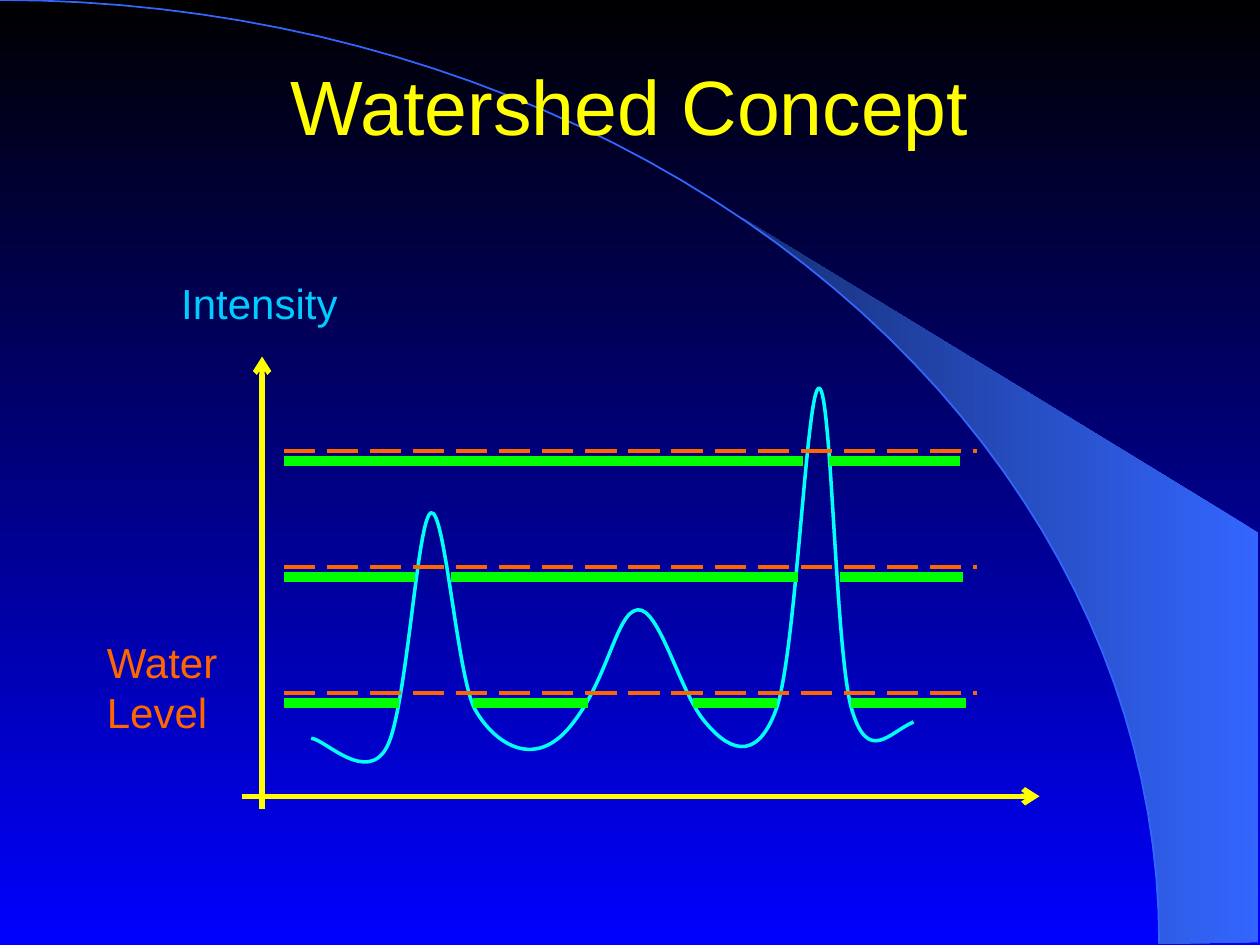
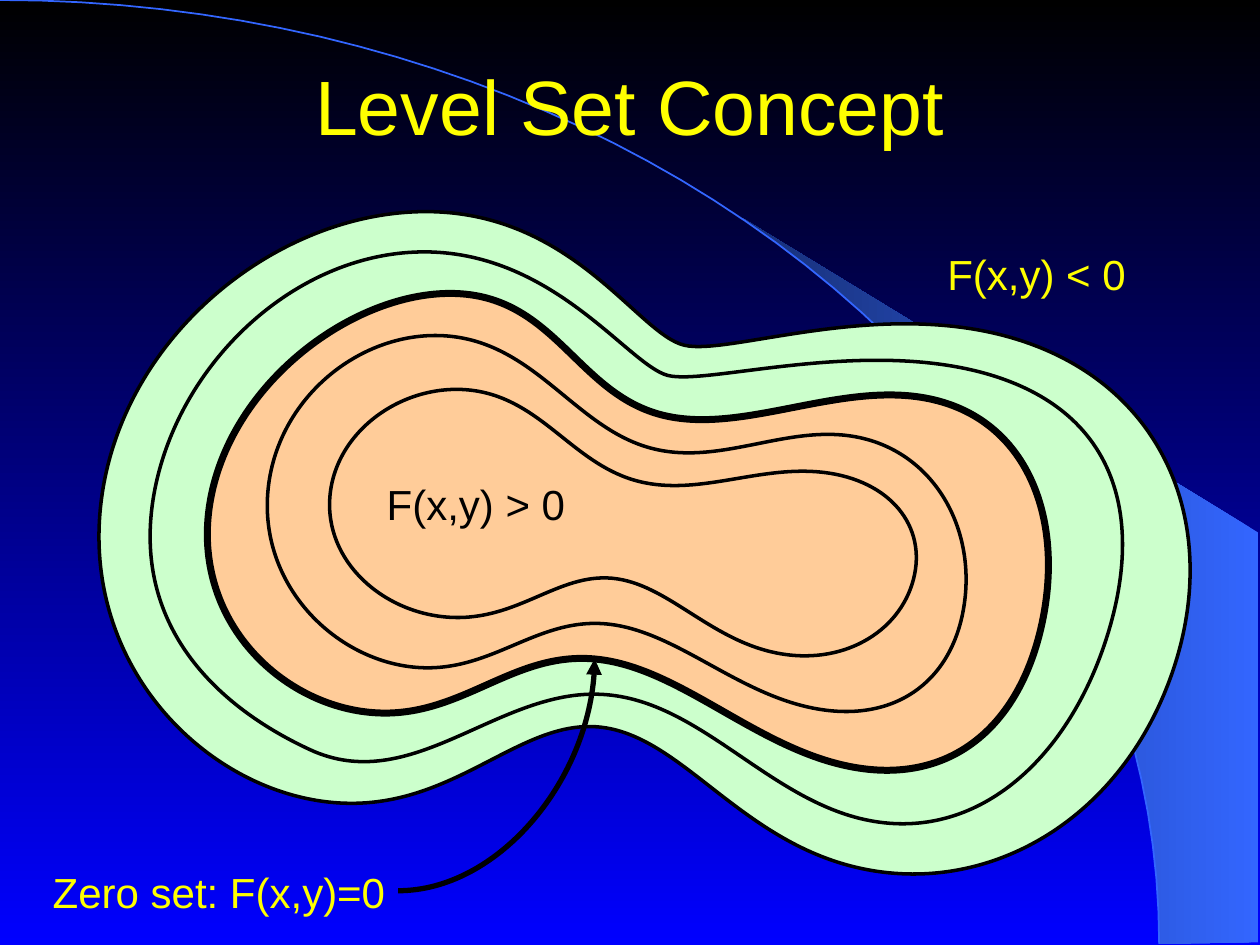
from math import cos, radians, sin

from lxml import etree
from pptx import Presentation
from pptx.dml.color import RGBColor
from pptx.enum.dml import MSO_LINE
from pptx.enum.shapes import MSO_CONNECTOR
from pptx.enum.text import MSO_ANCHOR, PP_ALIGN
from pptx.oxml.ns import qn
from pptx.util import Inches, Pt

YELLOW, GREEN, ORANGE = "FFFF00", "00FF00", "FF6600"
CYAN, SKY, BLACK = "00FFFF", "00CCFF", "000000"
MINT, PEACH, BLUE = "CCFFCC", "FFCC99", "3366FF"
FONT = "Arial"
ARC_WIDTH, ARC_HEIGHT = 9.2, 7.49

# Curve anchors: x, y and, where the bend is fixed, the handle dx, dy
INTENSITY_PROFILE = [
    (2.47, 5.86, 0.1, 0), (3.07, 5.93, 0.16, -0.3), (3.42, 4.07, 0.11, -0.05),
    (3.77, 5.63, 0.14, 0.25), (4.53, 5.76, 0.3, -0.37), (5.06, 4.84, 0.17, -0.02),
    (5.58, 5.71, 0.19, 0.24), (6.16, 5.63, 0.16, -0.44), (6.5, 3.08, 0.1, 0),
    (6.76, 5.63, 0.13, 0.44), (7.25, 5.73, 0.19, -0.08)]

# Height of each water level and the stretches that are flooded there
WATER_LEVELS = {
    5.5: [(2.25, 3.17), (3.75, 4.67), (5.5, 6.17), (6.75, 7.67)],
    4.5: [(2.25, 3.29), (3.58, 6.33), (6.67, 7.64)],
    3.58: [(2.25, 6.37), (6.58, 7.62)],
}

# Level sets from the outside in: fill, line width, anchors
LEVEL_SETS = [
    (MINT, 2, [(3.39, 1.68), (0.81, 3.93), (2.56, 6.36), (4.75, 5.77), (6.87, 6.9),
               (9.29, 5.38), (8.18, 2.73), (5.43, 2.74, -0.37, -0.09)]),
    (MINT, 2, [(3.39, 2), (1.23, 3.88), (2.46, 5.95, 0.8, 0.37), (4.74, 5.51),
               (6.94, 6.52), (8.79, 5.04), (7.84, 2.97), (5.3, 2.98, -0.31, -0.08)]),
    (PEACH, 4, [(3.63, 2.33), (1.68, 3.92), (2.9, 5.65), (4.72, 5.23), (6.78, 6.09),
                (8.27, 4.95), (7.44, 3.18), (5.24, 3.29)]),
    (PEACH, 2, [(3.58, 2.67), (2.13, 3.87), (3.24, 5.29), (4.78, 4.95), (6.45, 5.62),
                (7.65, 4.82), (6.85, 3.48), (5.14, 3.55)]),
    (PEACH, 2, [(3.76, 3.1), (2.62, 3.93), (3.58, 4.9), (4.86, 4.59), (6.15, 5.18),
                (7.25, 4.6), (6.54, 3.75), (5.03, 3.81)]),
]


def rgb(hex_colour):
    return RGBColor.from_string(hex_colour)


def arc_points(first, last, step):
    """Points on the quarter ellipse, angles in degrees."""
    return [(ARC_WIDTH * cos(radians(a)), ARC_HEIGHT * (1 - sin(radians(a))))
            for a in range(first, last + step, step)]


def smooth_handles(anchors):
    """Relax the free handles until the curve bends evenly at each anchor."""
    handles = [anchor[2:] or (0, 0) for anchor in anchors]
    count, stiffness = len(anchors), 3.5
    for _ in range(30):
        for i, anchor in enumerate(anchors):
            if len(anchor) == 2:
                before, after = i - 1, (i + 1) % count
                handles[i] = tuple(
                    (anchors[after][axis] - anchors[before][axis]
                     - handles[before][axis] - handles[after][axis]) / stiffness
                    for axis in (0, 1))
    return handles


def bezier_points(anchors, closed):
    """Start point, then two control points and an end point per segment."""
    knots = list(zip(anchors, smooth_handles(anchors)))
    if closed:
        knots.append(knots[0])
    points = [knots[0][0][:2]]
    for ((x, y, *_), (dx, dy)), ((x2, y2, *_), (dx2, dy2)) in zip(knots, knots[1:]):
        points += [(x + dx, y + dy), (x2 - dx2, y2 - dy2), (x2, y2)]
    return points


class Deck:
    def __init__(self):
        self.prs = Presentation()
        self.prs.slide_width, self.prs.slide_height = Inches(10), Inches(7.5)
        self.slide = None

    def new_slide(self, title):
        self.slide = self.prs.slides.add_slide(self.prs.slide_layouts[5])
        self.gradient(self.slide.background.fill, BLACK, "0000FF", 270)

        # Wedge and arc lie behind the title
        corners = [(5.89, 1.73), (9.99, 4.23), (9.99, 7.48)]
        wedge = self.outline(corners + arc_points(0, 50, 2), closed=True)
        self.gradient(wedge.fill, BLUE, "172F75", 180)
        arc = self.outline(arc_points(0, 90, 2))
        arc.fill.background()
        self.stroke(arc, BLUE, 1)
        heading = self.slide.shapes.title
        for backdrop in (wedge, arc):
            heading._element.addprevious(backdrop._element)

        heading.left, heading.top = Inches(0.75), Inches(0.12)
        heading.width, heading.height = Inches(8.5), Inches(1.51)
        heading.text_frame.text = title
        heading.text_frame.vertical_anchor = MSO_ANCHOR.MIDDLE
        paragraph = heading.text_frame.paragraphs[0]
        paragraph.alignment = PP_ALIGN.CENTER
        paragraph.line_spacing = 0.93
        self.style(paragraph, 44, YELLOW)

    def style(self, paragraph, size, colour):
        for run in paragraph.runs:
            run.font.name, run.font.size = FONT, Pt(size)
            run.font.color.rgb = rgb(colour)

    def stroke(self, shape, colour, width):
        shape.line.color.rgb = rgb(colour)
        shape.line.width = Pt(width)

    def gradient(self, fill, first, last, angle):
        fill.gradient()
        fill.gradient_angle = angle
        for stop, colour in zip(fill.gradient_stops, (first, last)):
            stop.color.rgb = rgb(colour)

    def outline(self, points, closed=False):
        start, *rest = [(Inches(x), Inches(y)) for x, y in points]
        builder = self.slide.shapes.build_freeform(*start)
        builder.add_line_segments(rest, close=closed)
        shape = builder.convert_to_shape()
        shape.shadow.inherit = False
        shape.line.fill.background()
        return shape

    def curve(self, anchors, colour, width, fill=None):
        closed = fill is not None
        shape = self.outline(bezier_points(anchors, closed), closed)
        # Every three straight segments become one Bezier segment
        segments = list(shape._element.iter(qn("a:lnTo")))
        for i in range(0, len(segments) - 2, 3):
            bezier = etree.Element(qn("a:cubicBezTo"))
            segments[i].addprevious(bezier)
            for segment in segments[i:i + 3]:
                bezier.append(segment[0])
                segment.getparent().remove(segment)
        if closed:
            shape.fill.solid()
            shape.fill.fore_color.rgb = rgb(fill)
        else:
            shape.fill.background()
        self.stroke(shape, colour, width)

    def line(self, start, end, colour, width, head=None, dash=None,
             kind=MSO_CONNECTOR.STRAIGHT):
        ends = [Inches(length) for length in (*start, *end)]
        connector = self.slide.shapes.add_connector(kind, *ends)
        self.stroke(connector, colour, width)
        if dash:
            connector.line.dash_style = dash
        properties = connector._element.spPr
        if head:
            etree.SubElement(properties.find(qn("a:ln")), qn("a:tailEnd"), type=head)
        if kind == MSO_CONNECTOR.CURVE:
            # A single quarter bend
            properties.find(qn("a:prstGeom")).set("prst", "curvedConnector2")
        etree.SubElement(properties, qn("a:effectLst"))

    def label(self, text, left, top, width, colour, height=0.47):
        frame = self.slide.shapes.add_textbox(
            Inches(left), Inches(top), Inches(width), Inches(height)).text_frame
        frame.word_wrap = True
        frame.text = text
        for paragraph in frame.paragraphs:
            self.style(paragraph, 24, colour)


def watershed(deck):
    deck.new_slide("Watershed Concept")

    # Axes
    deck.line((1.92, 6.32), (8.25, 6.32), YELLOW, 3, head="arrow")
    deck.line((2.08, 6.42), (2.08, 2.83), YELLOW, 3, head="arrow")
    deck.label("Intensity", 1.34, 2.15, 1.5, SKY)

    # Intensity profile and the water levels across it
    deck.curve(INTENSITY_PROFILE, CYAN, 2)
    for level, basins in WATER_LEVELS.items():
        flooded = level + 0.08
        for left, right in basins:
            deck.line((left, flooded), (right, flooded), GREEN, 6)
        deck.line((2.25, level), (7.75, level), ORANGE, 2.25, dash=MSO_LINE.LONG_DASH)
    deck.label("Water\nLevel", 0.75, 5, 1.15, ORANGE, height=0.85)


def level_set(deck):
    deck.new_slide("Level Set Concept")

    # Nested level sets
    for fill, width, anchors in LEVEL_SETS:
        deck.curve(anchors, BLACK, width, fill)

    # Labels and pointer to the zero set
    deck.label("Zero set: F(x,y)=0", 0.32, 6.83, 2.9, YELLOW)
    deck.line((3.16, 7.07), (4.72, 5.23), BLACK, 3, head="triangle",
              kind=MSO_CONNECTOR.CURVE)
    deck.label("F(x,y) > 0", 2.97, 3.75, 1.65, BLACK)
    deck.label("F(x,y) < 0", 7.42, 1.92, 1.65, YELLOW)


def main():
    deck = Deck()
    watershed(deck)
    level_set(deck)
    deck.prs.save("out.pptx")


if __name__ == "__main__":
    main()
